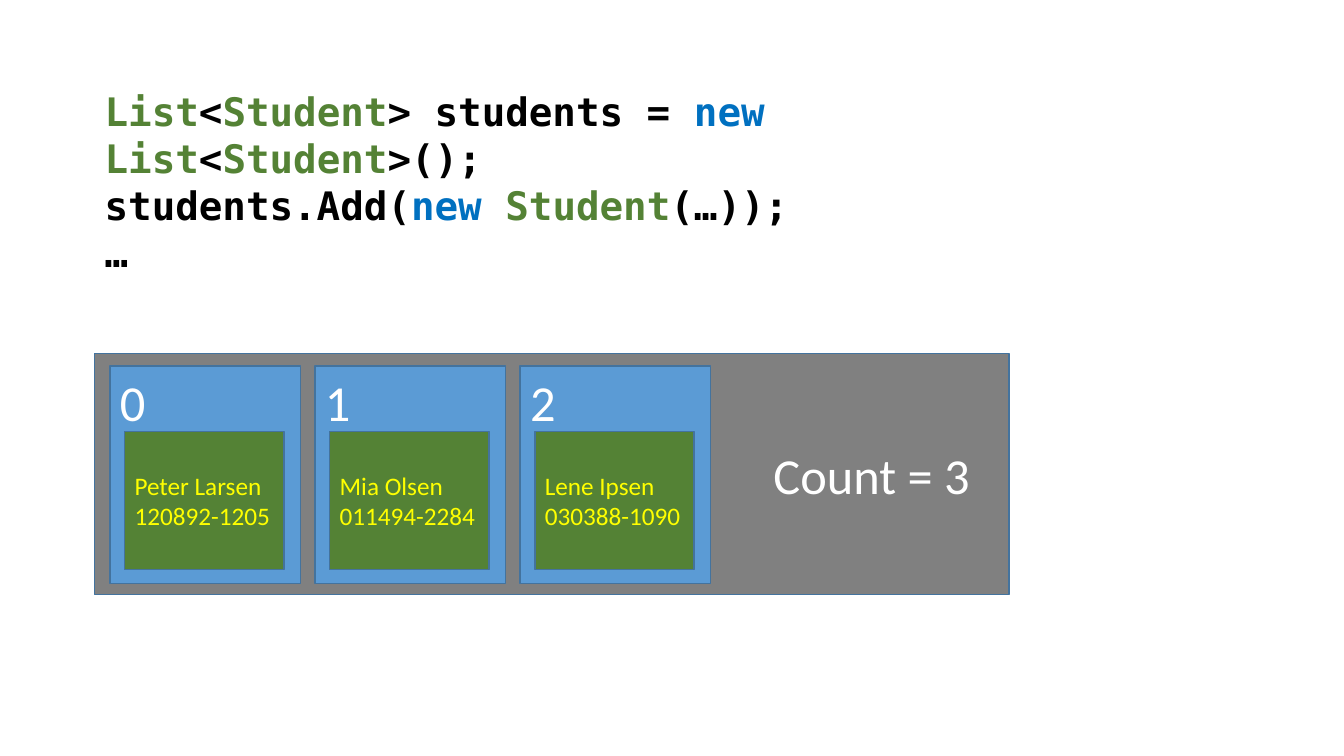
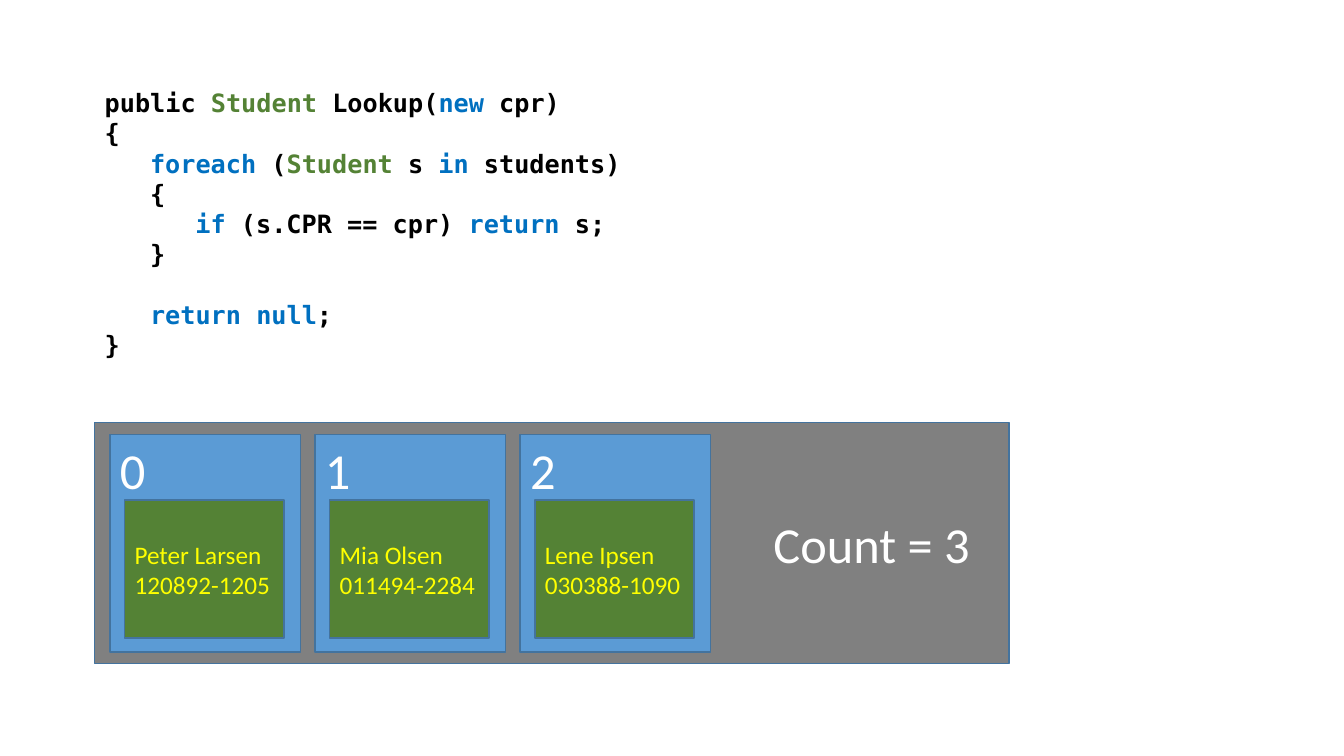
from pptx import Presentation
from pptx.dml.color import RGBColor
from pptx.enum.shapes import MSO_SHAPE
from pptx.enum.text import MSO_ANCHOR, PP_ALIGN
from pptx.util import Inches, Pt

HUES = {
    "plain": "000000", "type": "548235", "key": "0070C0", "list": "808080",
    "slot": "5B9BD5", "edge": "43739E", "light": "FFFFFF", "name": "FFFF00",
}
WORDS = dict.fromkeys(["List", "Student"], "type")
WORDS |= dict.fromkeys(["new", "foreach", "in", "if", "return", "return null"], "key")
PEOPLE = [
    ("Peter Larsen", "120892-1205"),
    ("Mia Olsen", "011494-2284"),
    ("Lene Ipsen", "030388-1090"),
]
LEFT = 7.05
STEP = 15.26


def hue(name):
    return RGBColor.from_string(HUES[name])


class Deck:
    sans = "Calibri"
    mono = "DejaVu Sans Mono"

    def __init__(self):
        self.show = Presentation()
        self.show.slide_width = Inches(13.33)
        self.show.slide_height = Inches(7.5)

    def page(self):
        self.slide = self.show.slides.add_slide(self.show.slide_layouts[6])

    def area(self, left, top, width, height):
        wide, high = self.show.slide_width, self.show.slide_height
        return [int(part * side / 100) for part, side in
                zip((left, top, width, height), (wide, high, wide, high))]

    def style(self, run, face, size, color, bold=False):
        font = run.font
        font.name, font.size, font.bold = face, Pt(size), bold
        font.color.rgb = hue(color)

    def box(self, place, fill, text, size, color="light",
            anchor=MSO_ANCHOR.MIDDLE, align=PP_ALIGN.LEFT):
        shape = self.slide.shapes.add_shape(MSO_SHAPE.RECTANGLE, *self.area(*place))
        shape.shadow.inherit = False
        shape.fill.solid()
        shape.fill.fore_color.rgb = hue(fill)
        shape.line.color.rgb = hue("edge")
        shape.line.width = Pt(1)
        frame = shape.text_frame
        frame.word_wrap = True
        frame.vertical_anchor = anchor
        frame.text = text
        for para in frame.paragraphs:
            para.alignment = align
            for run in para.runs:
                self.style(run, self.sans, size, color)
        return frame

    def code(self, height, size, lines):
        place = self.area(LEFT, 10.93, 75.53, height)
        frame = self.slide.shapes.add_textbox(*place).text_frame
        frame.word_wrap = True
        for row, (depth, gap, line) in enumerate(lines):
            para = frame.add_paragraph() if row else frame.paragraphs[0]
            para.space_before = Pt(gap * size * 1.2)
            para._p.get_or_add_pPr().set("marL", str(Pt(depth * 3 * size * 0.6)))
            for part in line.split("|"):
                run = para.add_run()
                run.text = part
                color = WORDS.get(part.strip(), "plain")
                self.style(run, self.mono, size, color, True)

    def array(self, top):
        frame = self.box((LEFT, top, 68.03, 31.87), "list",
                         f"Count = {len(PEOPLE)}", 36, align=PP_ALIGN.RIGHT)
        frame.margin_right = Inches(0.39)
        for index, person in enumerate(PEOPLE):
            left = LEFT + 1.13 + index * STEP
            self.box((left, top + 1.6, 14.18, 28.8), "slot", str(index), 36,
                     anchor=MSO_ANCHOR.TOP)
            self.box((left + 1.1, top + 10.27, 11.85, 18.27), "type",
                     "\n".join(person), 18, "name")


deck = Deck()

deck.page()
deck.code(20.13, 28, [
    (0, 0, "List|<|Student|> students = |new |List|<|Student|>();"),
    (0, 0, "students.Add(|new |Student|(…));"),
    (0, 0, "…"),
])
deck.array(46.8)

deck.page()
deck.code(37.73, 18, [
    (0, 0, "public |Student| Lookup(|new| cpr)"),
    (0, 0, "{"),
    (1, 0, "foreach| (|Student| s |in| students)"),
    (1, 0, "{"),
    (2, 0, "if| (s.CPR == cpr) |return |s;"),
    (1, 0, "}"),
    (1, 1, "return null|;"),
    (0, 0, "}"),
])
deck.array(55.87)

deck.show.save("out.pptx")
